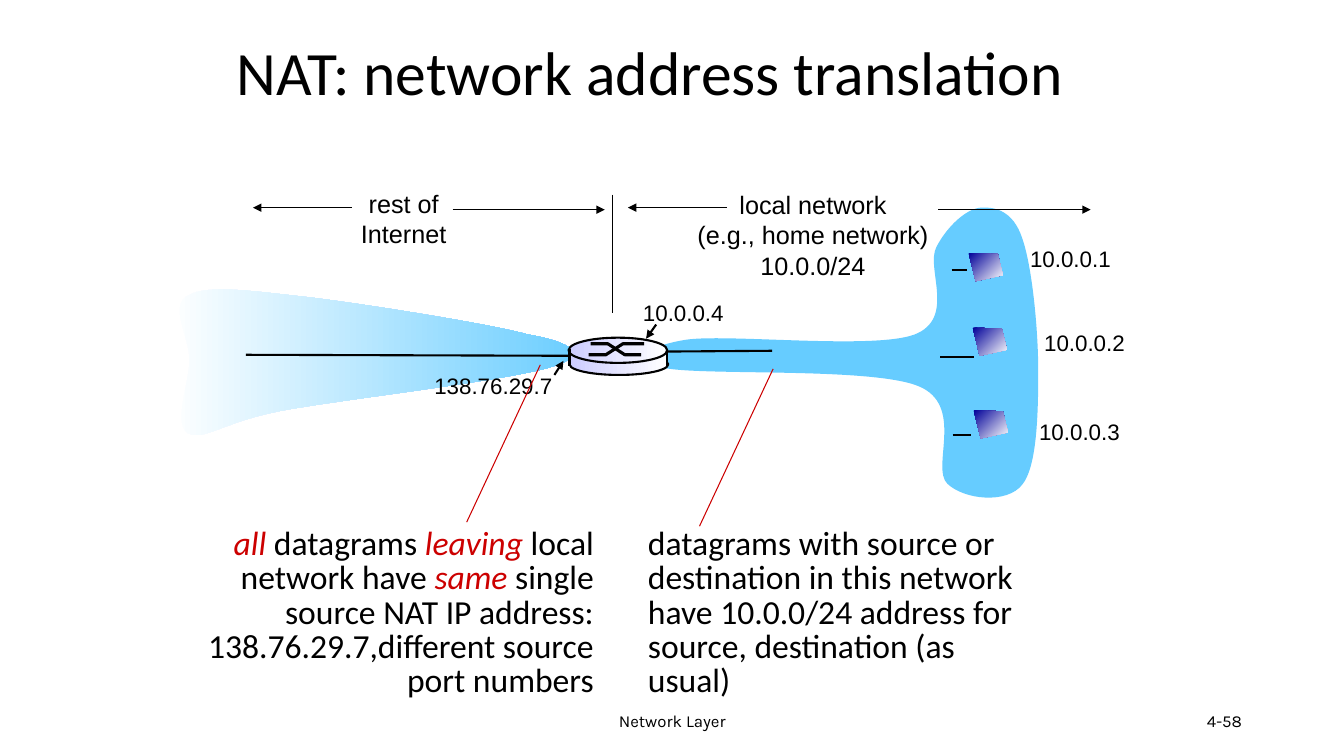
from lxml.etree import SubElement
from pptx import Presentation
from pptx.dml.color import RGBColor
from pptx.enum.shapes import MSO_CONNECTOR, MSO_SHAPE
from pptx.enum.text import MSO_ANCHOR, MSO_AUTO_SIZE, PP_ALIGN
from pptx.oxml.ns import qn
from pptx.util import Pt

EMU_PER_PX = 9144

BLACK = RGBColor(0x00, 0x00, 0x00)
WHITE = RGBColor(0xFF, 0xFF, 0xFF)
RED = RGBColor(0xCC, 0x00, 0x00)
SKY = RGBColor(0x66, 0xCC, 0xFF)
LAVENDER = RGBColor(0xCC, 0xCC, 0xFF)
NAVY = RGBColor(0x00, 0x00, 0x99)

LOCAL_NETWORK = [
    (681, 337),
    (723, 331), (866, 347), (907, 332),
    (949, 316), (918, 266), (929, 245),
    (940, 224), (959, 207), (973, 206),
    (987, 205), (1005, 209), (1014, 236),
    (1024, 264), (1030, 327), (1030, 368),
    (1030, 409), (1029, 463), (1014, 481),
    (999, 500), (957, 496), (940, 480),
    (923, 464), (958, 402), (911, 383),
    (864, 364), (697, 373), (659, 365),
    (621, 357), (643, 343), (681, 337),
]
INTERNET = [
    (524, 332),
    (484, 321), (363, 302), (307, 295),
    (251, 289), (207, 282), (187, 293),
    (167, 303), (188, 334), (188, 357),
    (188, 380), (171, 421), (187, 430),
    (202, 438), (222, 418), (282, 407),
    (342, 396), (507, 377), (547, 364),
    (588, 352), (565, 339), (524, 332),
]


def px(value):
    return round(value * EMU_PER_PX)


class SlideBuilder:
    """Draws styled elements on the current slide, with lengths in px."""

    def __init__(self, shapes, font="Arial", color=BLACK, accent=RED):
        self.shapes = shapes
        self.font = font
        self.color = color
        self.accent = accent

    def text(self, content, left, top, width, height, *, size=16, font=None,
             align=PP_ALIGN.LEFT, anchor=MSO_ANCHOR.TOP, spacing=None, wrap=False, grow=True):
        """Add text whose lines are paragraphs and whose *starred* parts are emphasised."""
        box = self.shapes.add_textbox(px(left), px(top), px(width), px(height))
        frame = box.text_frame
        frame.word_wrap = wrap
        frame.auto_size = MSO_AUTO_SIZE.SHAPE_TO_FIT_TEXT if grow else MSO_AUTO_SIZE.NONE
        frame.vertical_anchor = anchor
        for index, line in enumerate(content.split("\n")):
            paragraph = frame.add_paragraph() if index else frame.paragraphs[0]
            paragraph.alignment = align
            paragraph.line_spacing = spacing
            for part, words in enumerate(line.split("*")):
                if not words:
                    continue
                run = paragraph.add_run()
                run.text = words
                run.font.name = font or self.font
                run.font.size = Pt(size)
                run.font.italic = part % 2 == 1
                run.font.color.rgb = self.accent if part % 2 else self.color

    def line(self, start, end, width=1.5, color=None, arrow=False):
        connector = self.shapes.add_connector(MSO_CONNECTOR.STRAIGHT, *map(px, start + end))
        connector.line.color.rgb = color or self.color
        connector.line.width = Pt(width)
        if arrow:
            SubElement(connector.line._get_or_add_ln(), qn("a:tailEnd"), type="triangle")
        SubElement(connector._element.spPr, qn("a:effectLst"))

    def paint(self, shape, colors, angle, line_width):
        shape.shadow.inherit = False
        if len(colors) == 2:
            shape.fill.gradient()
            shape.fill.gradient_angle = angle
            for stop, color in zip(shape.fill.gradient_stops, colors):
                stop.color.rgb = color
        elif colors:
            shape.fill.solid()
            shape.fill.fore_color.rgb = colors[0]
        else:
            shape.fill.background()
        if line_width:
            shape.line.color.rgb = self.color
            shape.line.width = Pt(line_width)
        else:
            shape.line.fill.background()

    def preset(self, kind, left, top, width, height, colors, line_width=None):
        shape = self.shapes.add_shape(kind, px(left), px(top), px(width), px(height))
        self.paint(shape, colors, 0, line_width)

    def outline(self, points, colors=(), angle=0, line_width=None):
        corners = [(px(x), px(y)) for x, y in points]
        builder = self.shapes.build_freeform(*corners[0])
        builder.add_line_segments(corners[1:], close=bool(colors))
        shape = builder.convert_to_shape()
        self.paint(shape, colors, angle, line_width)
        return shape

    def cloud(self, points, colors):
        """Add a closed outline of cubic curves, three points to each curve."""
        shape = self.outline(points, colors)
        segments = list(shape._element.iter(qn("a:lnTo")))
        for first in range(0, len(points) - 1, 3):
            curve, *others = segments[first:first + 3]
            curve.tag = qn("a:cubicBezTo")
            for segment in others:
                curve.append(segment[0])
                segment.getparent().remove(segment)

    def router(self):
        group = SlideBuilder(self.shapes.add_group_shape().shapes)
        metal = (LAVENDER, WHITE)
        group.preset(MSO_SHAPE.OVAL, 565, 351, 98, 21, metal, 1.5)
        group.preset(MSO_SHAPE.RECTANGLE, 565, 349, 98, 13, metal)
        group.preset(MSO_SHAPE.OVAL, 564, 335, 98, 25, metal, 1.5)
        group.outline([(584, 352), (601, 352), (618, 341), (639, 341)], line_width=2.25)
        group.outline([(586, 341), (603, 341), (620, 352), (636, 352)], line_width=2.25)
        for side in (565, 662):
            group.line((side, 346), (side, 363))

    def computer(self, left, top):
        corners = [(0, 0), (29, 1), (34, 22), (7, 28)]
        self.outline([(left + x, top + y) for x, y in corners], (NAVY, WHITE), 315)


def main():
    presentation = Presentation()
    presentation.slide_height = px(750)
    presentation.slide_width = presentation.slide_height * 16 // 9
    slide = presentation.slides.add_slide(presentation.slide_layouts[6])
    builder = SlideBuilder(slide.shapes)

    footer = dict(size=12, font="Karla", anchor=MSO_ANCHOR.MIDDLE, wrap=True, grow=False)
    builder.text("Network Layer", 442, 695, 450, 40, align=PP_ALIGN.CENTER, **footer)
    builder.text("4-58", 942, 695, 300, 40, align=PP_ALIGN.RIGHT, **footer)
    builder.cloud(LOCAL_NETWORK, (SKY,))
    builder.text("NAT: network address translation", 225, 25, 885, 99, size=44,
                 font="Calibri", anchor=MSO_ANCHOR.MIDDLE, spacing=0.9, wrap=True, grow=False)
    builder.cloud(INTERNET, (WHITE, SKY))

    for start, end in [((633, 349), (766, 348)), ((966, 354), (933, 354)),
                       ((944, 268), (959, 268)), ((945, 432), (963, 432)),
                       ((244, 352), (575, 353))]:
        builder.line(start, end)

    for address, left, top, width in [("10.0.0.1", 1012, 238, 101), ("10.0.0.2", 1026, 322, 101),
                                      ("10.0.0.3", 1021, 410, 101), ("10.0.0.4", 628, 292, 101),
                                      ("138.76.29.7", 421, 364, 138)]:
        builder.text(address, left, top, width, 37)
    builder.line((651, 322), (641, 336), arrow=True)
    builder.line((550, 372), (559, 358), arrow=True)

    builder.text("local network\n(e.g., home network)\n10.0.0/24", 682, 183, 249, 100,
                 size=18, align=PP_ALIGN.CENTER)
    builder.text("rest of\nInternet", 348, 182, 105, 70, size=18, align=PP_ALIGN.CENTER)
    builder.line((608, 193), (608, 311), 0.75)
    for start, end, height in [(931, 1082, 208), (721, 623, 206),
                               (449, 600, 208), (349, 251, 206)]:
        builder.line((start, height), (end, height), 0.75, arrow=True)

    note = dict(size=24, font="Calibri", spacing=0.85, wrap=True)
    builder.text("datagrams with source or\ndestination in this network\n"
                 "have 10.0.0/24 address for\nsource, destination (as usual)",
                 633, 519, 410, 146, **note)
    builder.text("*all *datagrams *leaving* local\nnetwork have *same* single source NAT IP "
                 "address: 138.76.29.7,different source port numbers",
                 196, 519, 403, 180, align=PP_ALIGN.RIGHT, **note)
    builder.line((694, 522), (767, 366), 0.75, RED)
    builder.line((463, 518), (536, 362), 0.75, RED)

    builder.router()
    for left, top in [(961, 251), (965, 325), (966, 407)]:
        builder.computer(left, top)
    presentation.save("out.pptx")


if __name__ == "__main__":
    main()
